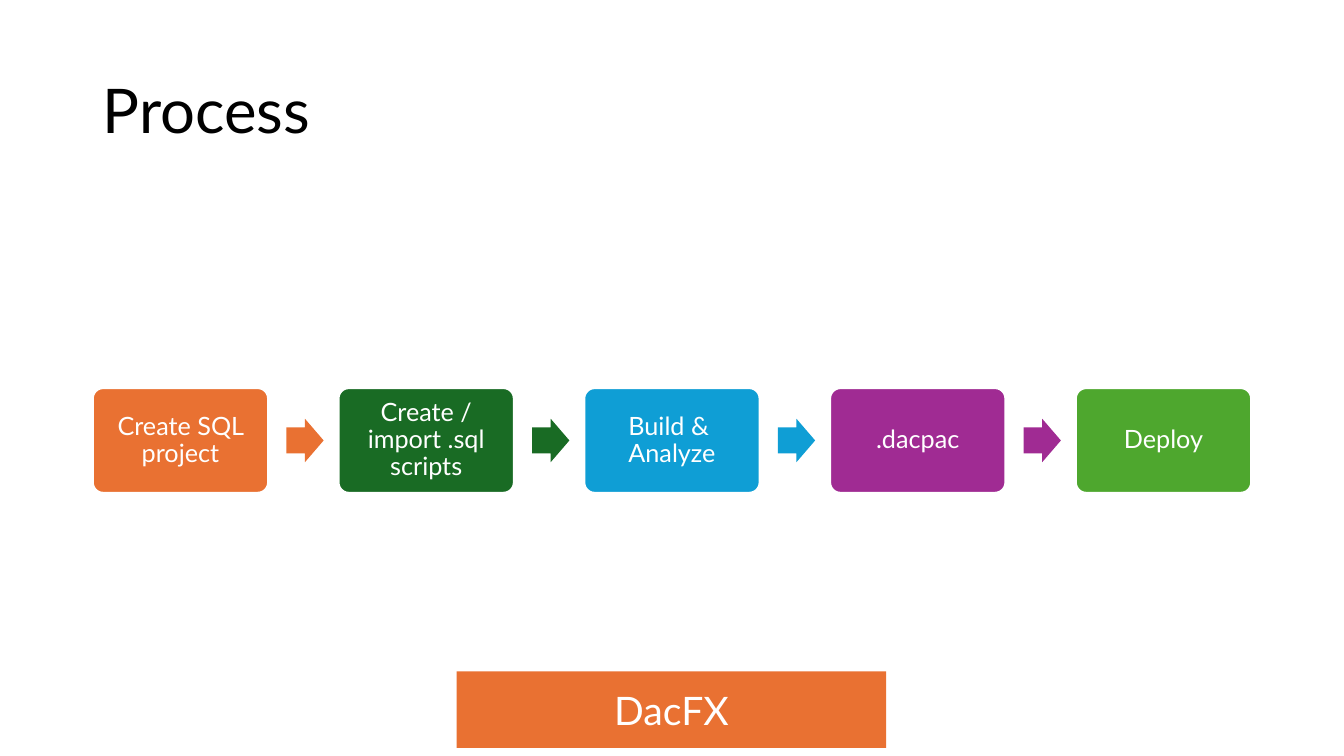
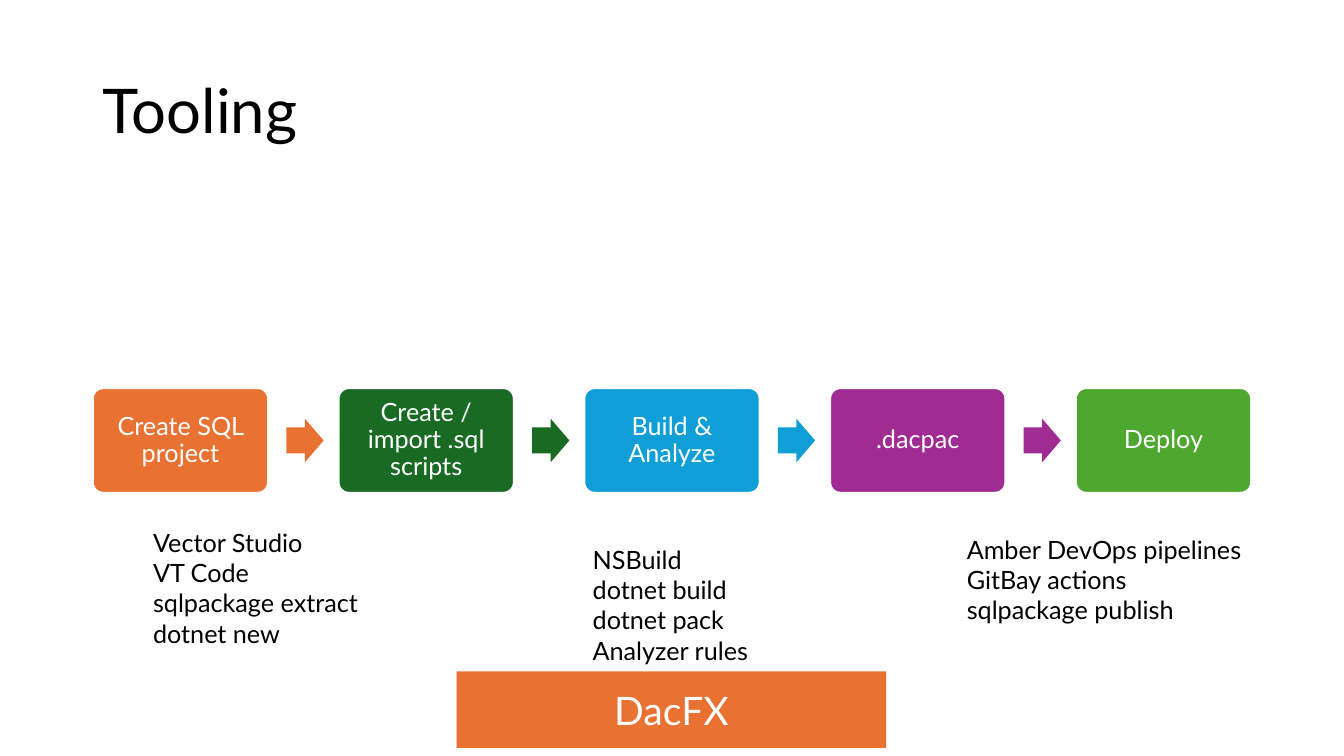
from pptx import Presentation
from pptx.dml.color import RGBColor
from pptx.enum.shapes import MSO_SHAPE
from pptx.enum.text import MSO_ANCHOR, MSO_AUTO_SIZE, PP_ALIGN
from pptx.util import Inches, Pt

ROUNDED, ARROW, RECTANGLE = (
    MSO_SHAPE.ROUNDED_RECTANGLE, MSO_SHAPE.RIGHT_ARROW, MSO_SHAPE.RECTANGLE)
MIDDLE = MSO_ANCHOR.MIDDLE
LEFT, CENTER = PP_ALIGN.LEFT, PP_ALIGN.CENTER
FIT_SHAPE = MSO_AUTO_SIZE.SHAPE_TO_FIT_TEXT

FONT = "Lato"
BLACK = RGBColor(0x00, 0x00, 0x00)
WHITE = RGBColor(0xFF, 0xFF, 0xFF)
ORANGE = RGBColor(0xE9, 0x71, 0x32)
DARK_GREEN = RGBColor(0x19, 0x6B, 0x24)
BLUE = RGBColor(0x0F, 0x9E, 0xD5)
PURPLE = RGBColor(0xA0, 0x2B, 0x93)
GREEN = RGBColor(0x4E, 0xA7, 0x2E)

STEP_COLORS = [ORANGE, DARK_GREEN, BLUE, PURPLE, GREEN]
STEP_LEFT, STEP_TOP, STEP_WIDTH, STEP_HEIGHT = 0.92, 3.85, 1.74, 1.04
STEP_PITCH = 9.75 / 4
ARROW_OFFSET, ARROW_WIDTH, ARROW_HEIGHT = 1.92, 0.37, 0.43
ARROW_TOP = STEP_TOP + (STEP_HEIGHT - ARROW_HEIGHT) / 2

# Each slide: title, label of the build step, tool lists (left, top, width, height, lines)
SLIDES = [
    ("Process", "Build & \vAnalyze", []),
    ("Tooling", "Build &\vAnalyze", [
        (1.42, 5.18, 2.67, 1.31,
         ["Vector Studio", "VT Code", "sqlpackage extract", "dotnet new"]),
        (5.78, 5.35, 1.75, 1.31,
         ["NSBuild", "dotnet build", "dotnet pack\vAnalyzer rules"]),
        (9.49, 5.25, 2.98, 1.01,
         ["Amber DevOps pipelines", "GitBay actions", "sqlpackage publish"]),
    ]),
]


def write(frame, text, size, color, align, line_spacing=1.0):
    frame.text = text
    frame.word_wrap = True
    for paragraph in frame.paragraphs:
        paragraph.alignment = align
        paragraph.line_spacing = line_spacing
        paragraph.font.size = Pt(size)
        for run in paragraph.runs:
            run.font.name = FONT
            run.font.size = Pt(size)
            run.font.color.rgb = color


def add_filled(slide, kind, left, top, width, height, color):
    shape = slide.shapes.add_shape(
        kind, Inches(left), Inches(top), Inches(width), Inches(height))
    shape.shadow.inherit = False
    shape.fill.solid()
    shape.fill.fore_color.rgb = color
    shape.line.fill.background()
    shape.text_frame.vertical_anchor = MIDDLE
    return shape


prs = Presentation()
prs.slide_width, prs.slide_height = Inches(13.33), Inches(7.5)

layout = prs.slide_layouts.get_by_name("Title Only")
layout_title = layout.placeholders[0]
layout_title.left, layout_title.top = Inches(0.92), Inches(0.4)
layout_title.width, layout_title.height = Inches(11.5), Inches(1.45)
layout_title.text_frame.vertical_anchor = MIDDLE

for title, build_label, tool_lists in SLIDES:
    slide = prs.slides.add_slide(layout)
    write(slide.shapes.title.text_frame, title, 44, BLACK, LEFT, 0.9)

    labels = ["Create SQL project", "Create / import .sql scripts",
              build_label, ".dacpac", "Deploy"]
    for index, (label, color) in enumerate(zip(labels, STEP_COLORS)):
        left = STEP_LEFT + index * STEP_PITCH
        step = add_filled(slide, ROUNDED, left, STEP_TOP,
                          STEP_WIDTH, STEP_HEIGHT, color)
        step.adjustments[0] = 0.1
        step.line.color.rgb = WHITE
        step.line.width = Pt(1.5)
        frame = step.text_frame
        frame.margin_left = frame.margin_right = Inches(0.07)
        frame.margin_top = frame.margin_bottom = Inches(0.07)
        write(frame, label, 18, WHITE, CENTER, 0.9)
        if index < len(labels) - 1:
            arrow = add_filled(slide, ARROW, left + ARROW_OFFSET, ARROW_TOP,
                               ARROW_WIDTH, ARROW_HEIGHT, color)
            arrow.adjustments[0] = 0.6
            arrow.adjustments[1] = 0.5

    for left, top, width, height, tools in tool_lists:
        tool_list = slide.shapes.add_textbox(
            Inches(left), Inches(top), Inches(width), Inches(height))
        write(tool_list.text_frame, "\n".join(tools), 18, BLACK, LEFT)
        tool_list.text_frame.auto_size = FIT_SHAPE

    framework = add_filled(slide, RECTANGLE, 4.53, 6.66, 4.26, 0.76, ORANGE)
    write(framework.text_frame, "DacFX", 28, WHITE, CENTER)

prs.save("out.pptx")
